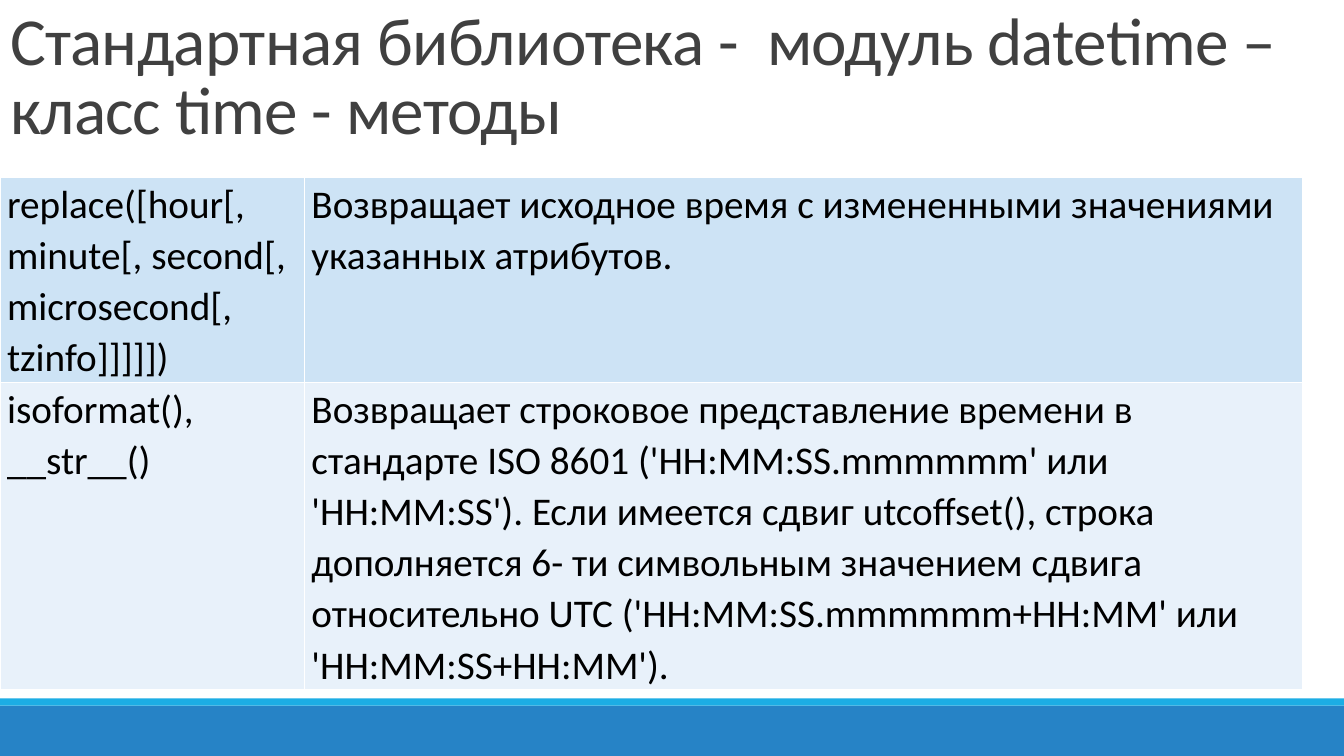
from pptx import Presentation
from pptx.dml.color import RGBColor
from pptx.enum.shapes import MSO_SHAPE
from pptx.enum.text import MSO_ANCHOR, MSO_AUTO_SIZE, PP_ALIGN
from pptx.util import Cm, Pt

RECT = MSO_SHAPE.RECTANGLE
BOTTOM, TOP = MSO_ANCHOR.BOTTOM, MSO_ANCHOR.TOP
LEFT = PP_ALIGN.LEFT
FIXED = MSO_AUTO_SIZE.NONE


class Theme:
    font = "Calibri"
    head, body = 48, 28
    gray, black = "404040", "000000"
    blue, cyan = "2683C6", "1CADE4"
    rows = ["CDE3F5", "E8F1FA"]


def write(frame, text, size, color, line, anchor=TOP, track=0):
    """Put one formatted paragraph into a text frame."""
    frame.word_wrap = True
    frame.vertical_anchor = anchor
    para = frame.paragraphs[0]
    para.alignment = LEFT
    para.line_spacing = line
    run = para.add_run()
    run.text = text
    run.font.name = Theme.font
    run.font.size = Pt(size)
    run.font.color.rgb = RGBColor.from_string(color)
    if track:
        run._r.get_or_add_rPr().set("spc", str(track))


# Slide
deck = Presentation()
deck.slide_width, deck.slide_height = Cm(33.87), Cm(19.05)
slide = deck.slides.add_slide(deck.slide_layouts[5])
shapes = slide.shapes

# Bottom bands
for top, high, color in [(17.78, 1.27, Theme.blue), (17.6, 0.18, Theme.cyan)]:
    band = shapes.add_shape(RECT, Cm(0), Cm(top), deck.slide_width, Cm(high))
    band.shadow.inherit = False
    band.fill.solid()
    band.fill.fore_color.rgb = RGBColor.from_string(color)
    band.line.fill.background()

# Title
title = shapes.title
title.left, title.top = Cm(0), Cm(0)
title.width, title.height = deck.slide_width, Cm(3.86)
title.text_frame.auto_size = FIXED
write(title.text_frame,
      "Стандартная библиотека -  модуль datetime – класс time - методы",
      size=Theme.head, color=Theme.gray, line=0.85, anchor=BOTTOM, track=-50)

# Table of methods
methods = [
    ("replace([hour[, minute[, second[, microsecond[, tzinfo]]]]])",
     "Возвращает исходное время с измененными значениями указанных атрибутов."),
    ("isoformat(), __str__()",
     "Возвращает строковое представление времени в стандарте ISO 8601 "
     "('HH:MM:SS.mmmmmm' или 'HH:MM:SS'). Если имеется сдвиг utcoffset(), "
     "строка дополняется 6- ти символьным значением сдвига относительно UTC "
     "('HH:MM:SS.mmmmmm+HH:MM' или 'HH:MM:SS+HH:MM')."),
]
widths, heights = [7.67, 25.15], [5.1, 7.7]
table = shapes.add_table(len(methods), len(widths), Cm(0), Cm(4.47),
                         Cm(sum(widths)), Cm(sum(heights))).table
table.first_row = table.horz_banding = False
for col, wide in zip(table.columns, widths):
    col.width = Cm(wide)
for row, high, texts, fill in zip(table.rows, heights, methods, Theme.rows):
    row.height = Cm(high)
    for cell, text in zip(row.cells, texts):
        cell.margin_left = cell.margin_right = Cm(0.18)
        cell.margin_top = cell.margin_bottom = Cm(0)
        cell.fill.solid()
        cell.fill.fore_color.rgb = RGBColor.from_string(fill)
        write(cell.text_frame, text, size=Theme.body, color=Theme.black, line=1.07)

deck.save("out.pptx")
